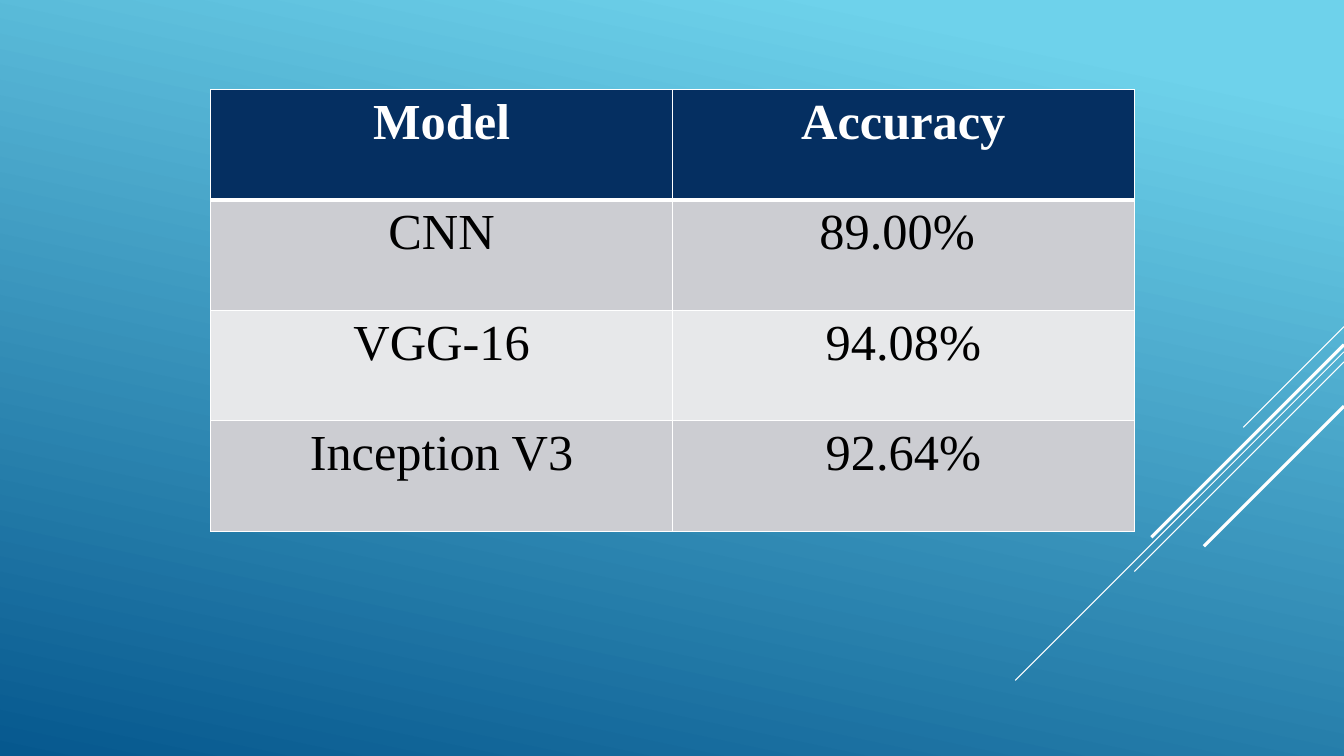
import dataclasses

import lxml.etree
import pptx
import pptx.dml.color
import pptx.enum.shapes
import pptx.enum.text
import pptx.oxml.ns
import pptx.util

Inches = pptx.util.Inches
Pt = pptx.util.Pt
Color = pptx.dml.color.RGBColor.from_string
qn = pptx.oxml.ns.qn


@dataclasses.dataclass(frozen=True)
class Theme:
    """Colours, font and sizes of the slide."""
    sky: str = "6ED2EB"
    ocean: str = "06588E"
    navy: str = "052F61"
    bands: tuple = ("CCCDD2", "E7E8EA")
    white: str = "FFFFFF"
    black: str = "000000"
    font: str = "Times New Roman"
    text_size: float = 36
    thin_border: float = 1
    header_border: float = 3
    thin_ray: float = 0.75
    thick_ray: float = 2.25


THEME = Theme()
PAGE_WIDTH, PAGE_HEIGHT = 13.33, 7.5
RESULTS = [
    ("Model", "Accuracy"),
    ("CNN", "89.00% "),
    ("VGG-16", "94.08%"),
    ("Inception V3", "92.64%"),
]
RAYS = [
    (3.24, 1.0, THEME.thin_ray),
    (3.49, 3.26, THEME.thin_ray),
    (3.59, 2.08, THEME.thin_ray),
    (3.42, 1.91, THEME.thick_ray),
    (4.03, 1.39, THEME.thick_ray),
]


def paint_background(page):
    """Fill the page with the slanted blue gradient."""
    fill = page.background.fill
    fill.gradient()
    fill.gradient_angle = 258
    stops = [(0.1, THEME.sky), (1.0, THEME.ocean)]
    for stop, (position, color) in zip(fill.gradient_stops, stops):
        stop.position = position
        stop.color.rgb = Color(color)


def add_rays(page, right):
    """Draw the diagonal rays that run down and left from the right edge."""
    for top, reach, width in RAYS:
        ray = page.shapes.add_connector(
            pptx.enum.shapes.MSO_CONNECTOR.STRAIGHT,
            Inches(right), Inches(top), Inches(right - reach), Inches(top + reach))
        ray.line.color.rgb = Color(THEME.white)
        ray.line.width = Pt(width)
        properties = ray._element.find(qn("p:spPr"))
        lxml.etree.SubElement(properties, qn("a:effectLst"))


def set_borders(cell, widths):
    """Give the cell white borders of the widths named by side."""
    properties = cell._tc.get_or_add_tcPr()
    for index, (side, width) in enumerate(widths.items()):
        border = lxml.etree.Element(qn(f"a:ln{side}"), w=str(Pt(width)))
        fill = lxml.etree.SubElement(border, qn("a:solidFill"))
        lxml.etree.SubElement(fill, qn("a:srgbClr"), val=THEME.white)
        properties.insert(index, border)


def format_cell(cell, text, row):
    """Write and style one cell according to its row."""
    header = row == 0
    cell.fill.solid()
    cell.fill.fore_color.rgb = Color(
        THEME.navy if header else THEME.bands[(row - 1) % 2])
    widths = dict.fromkeys("LRTB", THEME.thin_border)
    if row < 2:
        widths["B" if header else "T"] = THEME.header_border
    set_borders(cell, widths)
    para = cell.text_frame.paragraphs[0]
    para.alignment = pptx.enum.text.PP_ALIGN.CENTER
    span = para.add_run()
    span.text = text
    span.font.color.rgb = Color(THEME.white if header else THEME.black)
    formats = {"name": THEME.font, "size": Pt(THEME.text_size), "bold": header}
    for name, value in formats.items():
        setattr(span.font, name, value)


def add_results_table(page, left, top, width, height):
    """Place the table of model accuracies in the given box."""
    box = [Inches(length) for length in (left, top, width, height)]
    table = page.shapes.add_table(len(RESULTS), len(RESULTS[0]), *box).table
    for row, texts in enumerate(RESULTS):
        for column, text in enumerate(texts):
            format_cell(table.cell(row, column), text, row)


def main():
    """Build the slide and save the deck."""
    deck = pptx.Presentation()
    deck.slide_width = Inches(PAGE_WIDTH)
    deck.slide_height = Inches(PAGE_HEIGHT)
    page = deck.slides.add_slide(deck.slide_layouts.get_by_name("Blank"))
    paint_background(page)
    add_rays(page, PAGE_WIDTH)
    add_results_table(page, 2.09, 0.89, 9.16, 4.38)
    deck.save("out.pptx")


if __name__ == "__main__":
    main()
